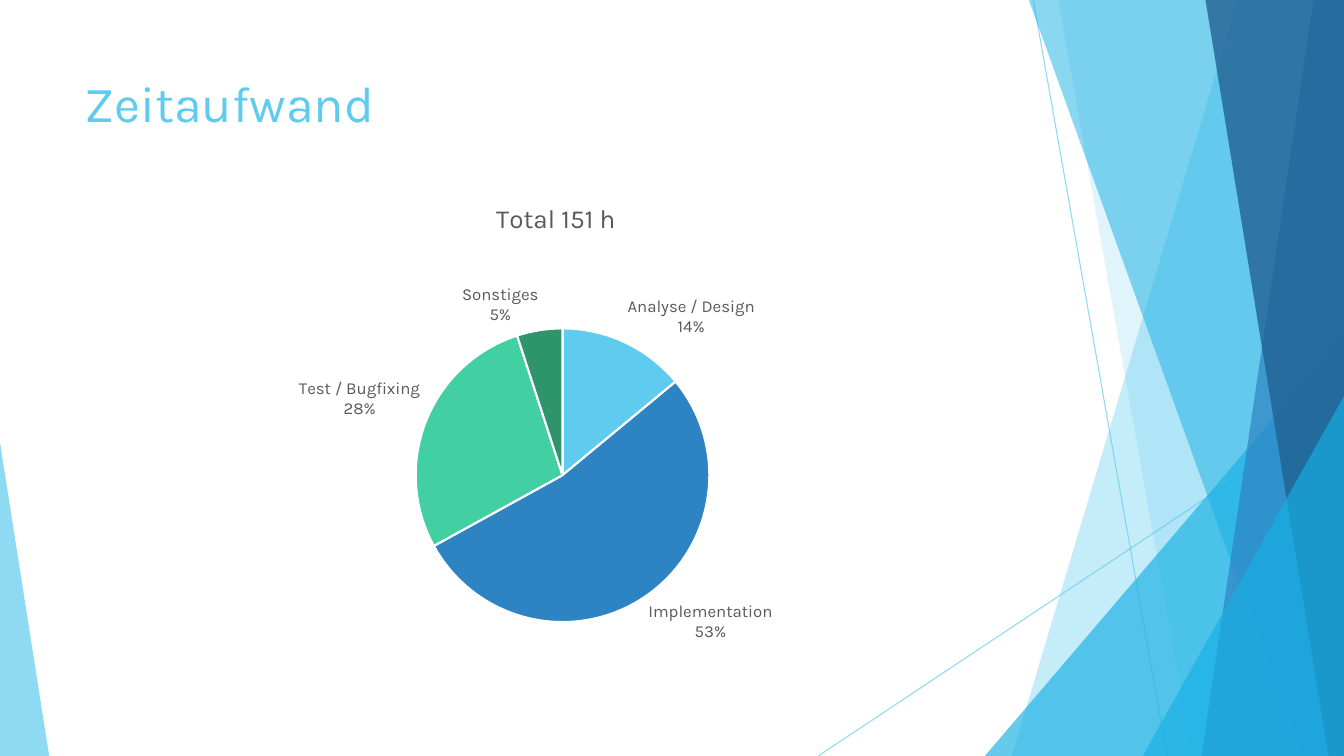
"""Builds the slide "Zeitaufwand": a pie of working hours framed by blue facets."""
from dataclasses import dataclass

import lxml.etree
import pptx
import pptx.chart.data
import pptx.dml.color
import pptx.enum.chart
import pptx.enum.shapes
import pptx.enum.text
import pptx.oxml
import pptx.oxml.ns
import pptx.util
from pptx.util import Cm

FONT = "Karla"
SKY, CYAN, BLUE, NAVY = "5FCBEF", "17B0E4", "2E83C3", "226292"
GREEN, FOREST, GREY, WHITE = "42D0A2", "2E946B", "595959", "FFFFFF"
WIDTH, HEIGHT = 33.87, 19.05


@dataclass
class Ray:
    """A thin line from start to end."""
    start: tuple[float, float]
    end: tuple[float, float]


@dataclass
class Band:
    """A facet reaching the right edge, with a slanting left side."""
    top_x: float
    bottom_x: float
    color: str
    opacity: int


@dataclass
class Corner:
    """A right-angled triangle standing on the bottom edge."""
    left: float
    width: float
    height: float
    apex: float
    color: str
    opacity: int


@dataclass
class Task:
    """A share of the working hours, in percent."""
    label: str
    share: int
    color: str


RAYS = [Ray((26.04, 0), (29.41, HEIGHT)), Ray((WIDTH, 10.24), (20.62, HEIGHT))]
FACETS = [
    Band(31.19, 25.5, SKY, 36),
    Band(26.67, 30.05, SKY, 20),
    Corner(24.82, 9.05, 10.59, 1, CYAN, 66),
    Band(25.93, 32.79, CYAN, 50),
    Band(33.1, 30.28, BLUE, 70),
    Band(30.38, 33.48, NAVY, 80),
    Corner(28.8, 5.07, 9.07, 1, CYAN, 66),
    Corner(0, 1.24, 7.9, 0, SKY, 70),
]
TASKS = [
    Task("Analyse / Design", 14, SKY),
    Task("Implementation", 53, BLUE),
    Task("Test / Bugfixing", 28, GREEN),
    Task("Sonstiges", 5, FOREST),
]


def paint(target, color: str, opacity: int = 100) -> None:
    """Give a fill or line fill a solid colour with an opacity in percent."""
    target.solid()
    target.fore_color.rgb = pptx.dml.color.RGBColor.from_string(color)
    if opacity < 100:
        rgb = target._xPr.find(".//" + pptx.oxml.ns.qn("a:srgbClr"))
        alpha = lxml.etree.SubElement(rgb, pptx.oxml.ns.qn("a:alpha"))
        alpha.set("val", str(opacity * 1000))


def style(font, size: float, color: str) -> None:
    """Set typeface, size and colour of a font."""
    font.name = FONT
    font.size = pptx.util.Pt(size)
    font.bold = False
    paint(font.fill, color)


def draw_ray(slide, ray: Ray) -> None:
    """Draw one thin translucent line."""
    straight = pptx.enum.shapes.MSO_CONNECTOR.STRAIGHT
    line = slide.shapes.add_connector(straight, *map(Cm, ray.start + ray.end))
    line.line.width = pptx.util.Pt(0.75)
    paint(line.line.fill, SKY, 70)
    lxml.etree.SubElement(line._element.spPr, pptx.oxml.ns.qn("a:effectLst"))


def draw_facet(slide, facet: Band | Corner) -> None:
    """Draw one translucent band or corner."""
    if isinstance(facet, Band):
        outline = slide.shapes.build_freeform(Cm(facet.top_x), 0, scale=1.0)
        rest = [(WIDTH, 0), (WIDTH, HEIGHT), (facet.bottom_x, HEIGHT)]
        outline.add_line_segments([(Cm(x), Cm(y)) for x, y in rest], close=True)
        shape = outline.convert_to_shape()
    else:
        shape = slide.shapes.add_shape(
            pptx.enum.shapes.MSO_SHAPE.ISOSCELES_TRIANGLE,
            Cm(facet.left), Cm(HEIGHT - facet.height), Cm(facet.width), Cm(facet.height))
        shape.adjustments[0] = facet.apex
    shape.shadow.inherit = False
    shape.line.fill.background()
    paint(shape.fill, facet.color, facet.opacity)


def draw_heading(slide, text: str) -> None:
    """Write the slide heading."""
    heading = slide.shapes.add_textbox(Cm(1.88), Cm(1.7), Cm(23.88), Cm(3.66)).text_frame
    heading.word_wrap = True
    heading.vertical_anchor = pptx.enum.text.MSO_ANCHOR.TOP
    run = heading.paragraphs[0].add_run()
    run.text = text
    style(run.font, 36, SKY)


def place(parent, **numbers: float) -> None:
    """Fix the position of a chart part, as fractions of the chart."""
    layout = parent.find(pptx.oxml.ns.qn("c:layout"))
    if layout is None:
        layout = pptx.oxml.parse_xml(f"<c:layout {pptx.oxml.ns.nsdecls('c')}/>")
        after_text = parent.find(pptx.oxml.ns.qn("c:tx"))
        parent.insert(0 if after_text is None else parent.index(after_text) + 1, layout)
    for child in list(layout):
        layout.remove(child)
    manual = lxml.etree.SubElement(layout, pptx.oxml.ns.qn("c:manualLayout"))
    settings = {"layoutTarget": "inner"} if "w" in numbers else {}
    settings |= {"xMode": "edge", "yMode": "edge"} | numbers
    for tag, value in settings.items():
        lxml.etree.SubElement(manual, pptx.oxml.ns.qn(f"c:{tag}")).set("val", str(value))


def draw_pie(slide, title: str, tasks: list[Task]) -> None:
    """Draw the pie of hours with a label outside each slice."""
    hours = pptx.chart.data.CategoryChartData()
    hours.categories = [task.label for task in tasks]
    hours.add_series("Series 1", [task.share for task in tasks])
    chart = slide.shapes.add_chart(
        pptx.enum.chart.XL_CHART_TYPE.PIE,
        Cm(1.88), Cm(4.45), Cm(23.88), Cm(12.34), hours).chart
    style(chart.font, 10, "000000")
    chart.has_legend = False
    chart.has_title = True
    run = chart.chart_title.text_frame.paragraphs[0].add_run()
    run.text = title
    style(run.font, 18.6, GREY)
    place(chart.chart_title._element, x=0.44, y=0.04)
    place(chart._chartSpace.chart.plotArea, x=0.36, y=0.31, w=0.31, h=0.6)

    pie = chart.plots[0]
    pie.vary_by_categories = True
    for index, task in enumerate(tasks):
        piece = pie.series[0].points[index].format
        paint(piece.fill, task.color)
        piece.line.width = pptx.util.Pt(1.5)
        paint(piece.line.fill, WHITE)

    labels = pie.series[0].data_labels
    labels.show_category_name = True
    labels.show_percentage = True
    labels.show_value = False
    labels.number_format = "0%"
    labels.number_format_is_linked = False
    labels.position = pptx.enum.chart.XL_LABEL_POSITION.OUTSIDE_END
    style(labels.font, 12, GREY)
    separator = lxml.etree.Element(pptx.oxml.ns.qn("c:separator"))
    separator.text = "\n"
    labels._element.find(pptx.oxml.ns.qn("c:showBubbleSize")).addnext(separator)


def main() -> None:
    """Build and save the slide."""
    deck = pptx.Presentation()
    deck.slide_width, deck.slide_height = Cm(WIDTH), Cm(HEIGHT)
    slide = deck.slides.add_slide(deck.slide_layouts[6])
    paint(slide.background.fill, WHITE)
    for ray in RAYS:
        draw_ray(slide, ray)
    for facet in FACETS:
        draw_facet(slide, facet)
    draw_heading(slide, "Zeitaufwand")
    draw_pie(slide, "Total 151 h", TASKS)
    deck.save("out.pptx")


main()
